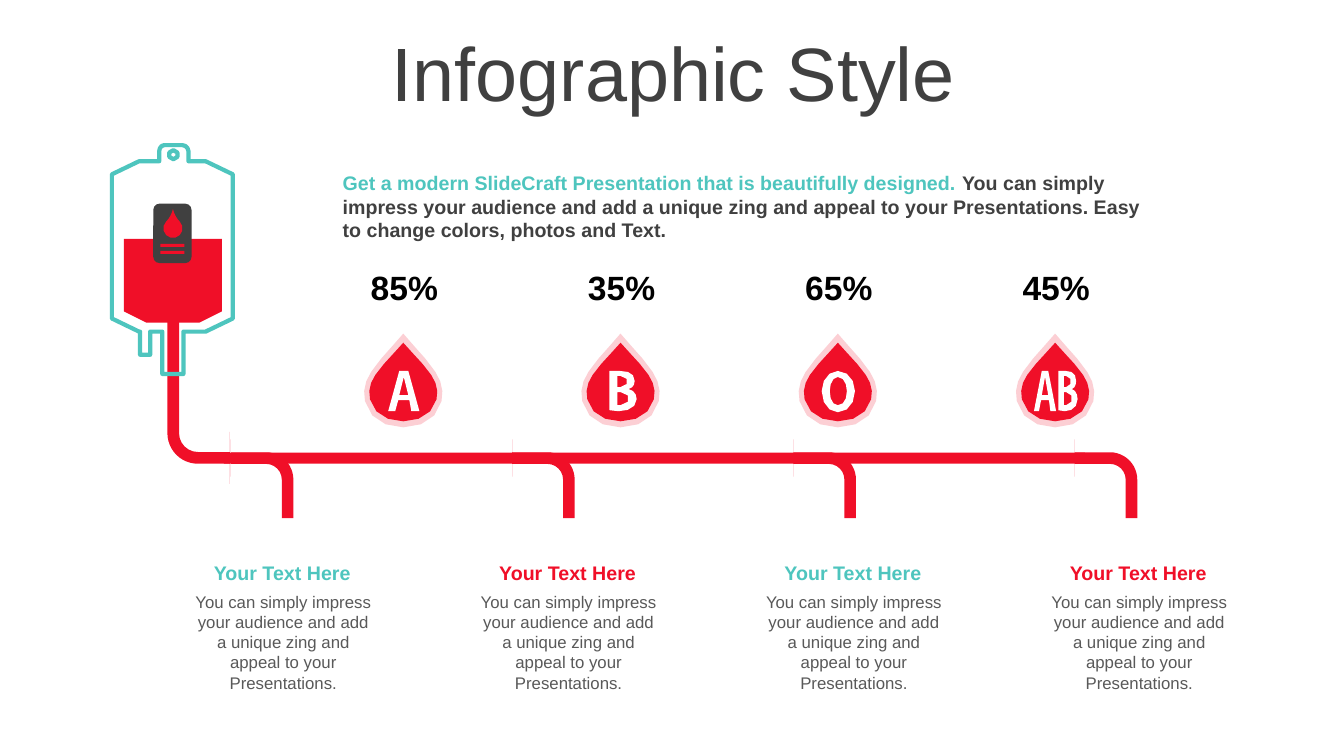
from pptx import Presentation
from pptx.dml.color import RGBColor
from pptx.enum.shapes import MSO_SHAPE as Preset
from pptx.enum.text import MSO_ANCHOR as Anchor, MSO_AUTO_SIZE as AutoSize, PP_ALIGN as Align
from pptx.util import Inches, Pt

RED, TEAL, DARK, GRAY = "F00F28", "4EC5BE", "404040", "595959"
PINK, WHITE, BLACK = "FCCFD4", "FFFFFF", "000000"
FONT = "Arial"

# Outlines: a pair is a corner, six numbers are a Bezier curve
LETTER_A = [
    [(11, 0), (20, 0), (31, 40), (23, 40), (21, 29), (10, 29), (7, 40), (0, 40)],
    [(15.5, 6), (11, 24), (20, 24)],
]
LETTER_B = [
    [(0, 0), (10, 0), (20, 0, 25, 3, 25, 10), (25, 14, 23, 17, 19, 18),
     (24, 19, 27, 23, 27, 28), (27, 36, 19, 40, 9, 40), (0, 39)],
    [(8, 5), (11, 5), (20, 5, 20, 16, 11, 16), (8, 16)],
    [(8, 21), (11, 21), (22, 21, 22, 34, 11, 34), (8, 34)],
]
LETTER_O = [
    [(16, 0), (26, 0, 33, 9, 33, 20), (33, 32, 26, 41, 16, 41),
     (7, 41, 0, 32, 0, 20), (0, 9, 7, 0, 16, 0)],
    [(16, 6), (22, 6, 25, 13, 25, 20), (25, 28, 22, 34, 16, 34),
     (11, 34, 8, 28, 8, 20), (8, 13, 11, 6, 16, 6)],
]
DROP_RIGHT_HALF = [(0.5, 0), (0.64, 0.14, 0.8, 0.26, 0.92, 0.41),
                   (1, 0.51, 1.03, 0.61, 1, 0.72), (0.95, 0.9, 0.75, 1, 0.5, 1)]
BAG = [
    [(0.61, 0.05), (0.55, 0.05, 0.55, 0.14, 0.61, 0.14), (0.67, 0.14, 0.67, 0.05, 0.61, 0.05)],
    [(0.52, 0), (0.7, 0), (0.73, 0, 0.76, 0.03, 0.76, 0.06), (0.76, 0.16), (0.93, 0.16),
     (1.2, 0.29), (1.2, 1.72), (0.93, 1.85), (0.71, 1.85), (0.71, 2.27), (0.5, 2.27),
     (0.5, 1.85), (0.38, 1.85), (0.38, 2.08), (0.28, 2.08), (0.28, 1.85), (0.27, 1.85),
     (0, 1.72), (0, 0.29), (0.27, 0.16), (0.47, 0.16), (0.47, 0.06),
     (0.47, 0.03, 0.49, 0, 0.52, 0)],
]
BLOOD = [[(0.12, 0.93), (1.09, 0.93), (1.09, 1.65), (0.87, 1.76), (0.34, 1.76), (0.12, 1.65)]]

# Share, letters with their offset in the outline, left edge inside the drop, horizontal scale
BLOOD_TYPES = [
    ("85%", [(LETTER_A, 0)], 0.23, 0.01),
    ("35%", [(LETTER_B, 0)], 0.27, 0.01),
    ("65%", [(LETTER_O, 0)], 0.22, 0.01),
    ("45%", [(LETTER_A, 0), (LETTER_B, 34)], 0.17, 0.0071),
]
HEADING = "Your Text Here"
BODY = ("You can simply impress your audience and add a unique zing "
        "and appeal to your Presentations.")


def rgb(value):
    return RGBColor.from_string(value)


def style(shape, fill=None, line=None):
    shape.shadow.inherit = False
    if fill:
        shape.fill.solid()
        shape.fill.fore_color.rgb = rgb(fill)
    else:
        shape.fill.background()
    if line:
        shape.line.color.rgb = rgb(line)
        shape.line.width = Pt(3)
    else:
        shape.line.fill.background()


def flatten(contour, steps=3):
    points = []
    for node in contour:
        if len(node) == 2:
            points.append(node)
            continue
        nodes = [points[-1], node[:2], node[2:4], node[4:]]
        for t in (step / steps for step in range(1, steps + 1)):
            weights = ((1 - t) ** 3, 3 * t * (1 - t) ** 2, 3 * t * t * (1 - t), t ** 3)
            points.append(tuple(sum(w * n[axis] for w, n in zip(weights, nodes))
                                for axis in (0, 1)))
    return points


def add_outline(slide, contours, left, top, scale_x=1, scale_y=1, **colors):
    placed = [[(Inches(left + x * scale_x), Inches(top + y * scale_y)) for x, y in contour]
              for contour in contours]
    builder = slide.shapes.build_freeform(*placed[0][0])
    for index, contour in enumerate(placed):
        if index:
            builder.move_to(*contour[0])
        builder.add_line_segments(contour[1:], close=True)
    style(builder.convert_to_shape(), **colors)


def add_preset(slide, preset, left, top, width, height, fill, adjust=()):
    shape = slide.shapes.add_shape(preset, Inches(left), Inches(top), Inches(width), Inches(height))
    for index, value in enumerate(adjust):
        shape.adjustments[index] = value
    style(shape, fill)
    return shape


def add_text(slide, left, top, width, height, runs, size, bold=False, align=Align.CENTER, margin=0.1):
    box = slide.shapes.add_textbox(Inches(left), Inches(top), Inches(width), Inches(height))
    frame = box.text_frame
    frame.word_wrap = True
    frame.auto_size = AutoSize.SHAPE_TO_FIT_TEXT
    frame.margin_left = frame.margin_right = Inches(margin)
    paragraph = frame.paragraphs[0]
    paragraph.alignment = align
    paragraph.font.name, paragraph.font.size, paragraph.font.bold = FONT, Pt(size), bold
    for text, color in runs:
        run = paragraph.add_run()
        run.text = text
        run.font.color.rgb = rgb(color)


def add_title(slide, left, top, width, height):
    title = slide.shapes.title
    title.left, title.top, title.width, title.height = map(Inches, (left, top, width, height))
    title.text_frame.text = "Infographic Style"
    title.text_frame.vertical_anchor = Anchor.MIDDLE
    title.text_frame.auto_size = AutoSize.NONE
    paragraph = title.text_frame.paragraphs[0]
    paragraph.alignment, paragraph.line_spacing = Align.CENTER, 0.9
    paragraph.font.name, paragraph.font.size = FONT, Pt(54)
    paragraph.font.color.rgb = rgb(DARK)


def add_pipe(slide, left, top, width, height, adjust, rotation=0):
    bend = add_preset(slide, Preset.BENT_ARROW, left, top, width, height, RED, adjust)
    bend.rotation = rotation
    bend._element.spPr.xfrm.set("flipH", "1")


def add_pipes(slide, left, top):
    # Down from the bag, along the slide, then one outlet per column
    add_pipe(slide, left, top, 0.62, 1.65, (0.187, 0.416, 0, 0.488), 180)
    add_preset(slide, Preset.RECTANGLE, left + 0.56, top + 1.34, 8.54, 0.11, RED)
    for column in range(4):
        add_pipe(slide, left + 0.63 + 2.79 * column, top + 1.21, 0.62, 0.78,
                 (0.186, 0.298, 0, 0.438))


def add_blood_bag(slide, left, top):
    add_outline(slide, BLOOD, left, top, fill=RED)
    add_outline(slide, [flatten(contour) for contour in BAG], left, top, line=TEAL)
    # Label with a small drop and two rules
    add_preset(slide, Preset.ROUNDED_RECTANGLE, left + 0.41, top + 0.58, 0.38, 0.59, DARK)
    label_drop = add_preset(slide, Preset.TEAR, left + 0.51, top + 0.73, 0.19, 0.19, RED, (1.416,))
    label_drop.rotation = 315
    for rule_top in (0.98, 1.05):
        add_preset(slide, Preset.RECTANGLE, left + 0.48, top + rule_top, 0.24, 0.03, RED)


def add_blood_type(slide, left, top, share, letters, letter_left, letter_scale):
    right_half = flatten(DROP_RIGHT_HALF)
    drop = [right_half + [(1 - x, y) for x, y in reversed(right_half[1:-1])]]
    drop_left, drop_top = left + 0.1, top + 0.71
    add_outline(slide, drop, drop_left, drop_top, 0.76, 0.93, fill=PINK)
    add_outline(slide, drop, drop_left + 0.05, drop_top + 0.09, 0.66, 0.78, fill=RED)
    lettering = [[(x + offset, y) for x, y in flatten(contour)]
                 for letter, offset in letters for contour in letter]
    add_outline(slide, lettering, drop_left + letter_left, drop_top + 0.37,
                letter_scale, 0.01, fill=WHITE)
    add_text(slide, left, top, 0.98, 0.5, [(share, BLACK)], 24, bold=True, margin=0.12)


def add_column(slide, left, top, color):
    add_text(slide, left, top + 0.3, 1.98, 1.11, [(BODY, GRAY)], 12)
    add_text(slide, left, top, 1.96, 0.34, [(HEADING, color)], 14, bold=True)


def add_intro(slide, left, top, width, height):
    add_text(slide, left, top, width, height, [
        ("Get a modern SlideCraft Presentation that is beautifully designed. ", TEAL),
        ("You can simply impress your audience and add a unique zing and appeal to your "
         "Presentations. Easy to change colors, photos and Text.", DARK),
    ], 14, bold=True, align=Align.LEFT)


def main():
    deck = Presentation()
    deck.slide_width, deck.slide_height = Inches(13.33), Inches(7.5)
    slide = deck.slides.add_slide(deck.slide_layouts[5])
    add_title(slide, 0.35, 0.37, 12.66, 0.79)
    add_pipes(slide, 1.66, 3.15)
    add_blood_bag(slide, 1.11, 1.44)
    for index, color in enumerate((TEAL, RED) * 2):
        add_column(slide, 1.82 + 2.83 * index, 5.52, color)
    for index, blood_type in enumerate(BLOOD_TYPES):
        add_blood_type(slide, 3.52 + 2.155 * index, 2.6, *blood_type)
    add_intro(slide, 3.3, 1.65, 8.32, 0.81)
    deck.save("out.pptx")


if __name__ == "__main__":
    main()
